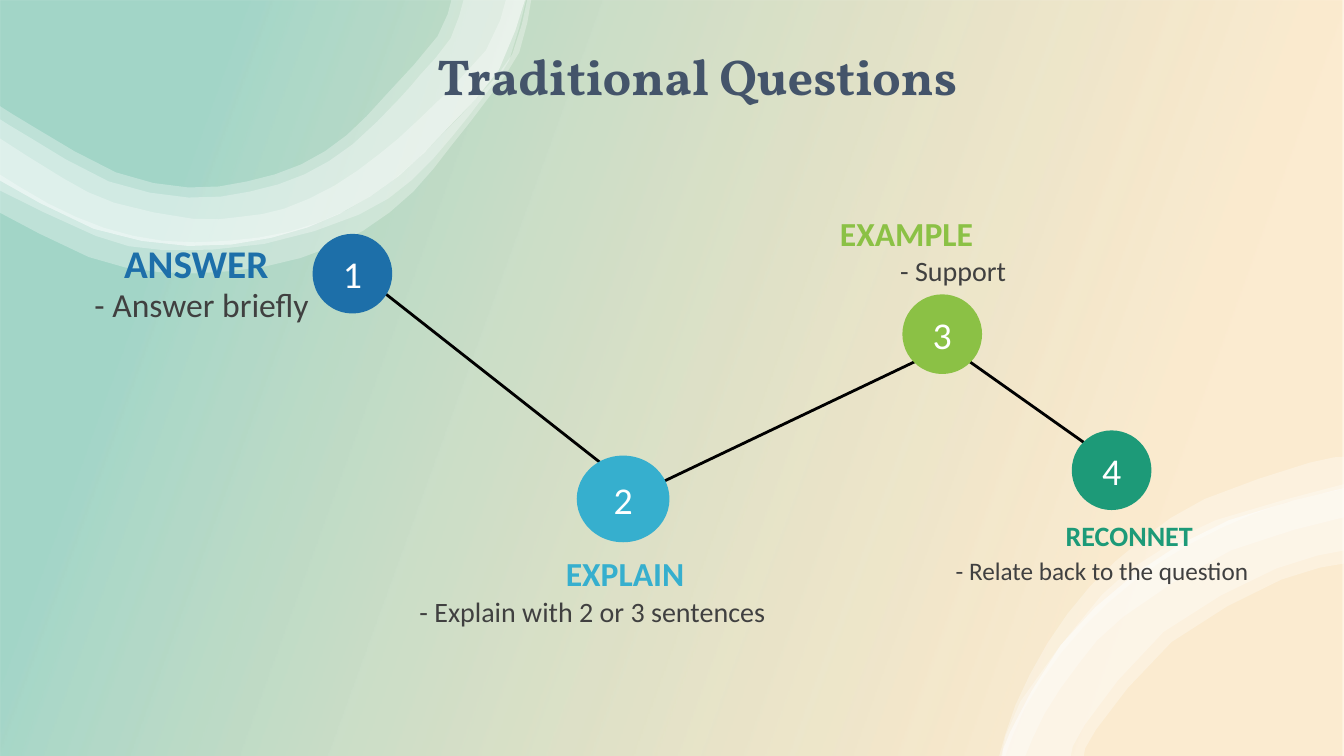
from lxml import etree
from pptx import Presentation
from pptx.dml.color import RGBColor
from pptx.enum.shapes import MSO_CONNECTOR, MSO_SHAPE
from pptx.enum.text import MSO_ANCHOR, PP_ALIGN
from pptx.oxml.ns import qn
from pptx.util import Inches, Pt

RIGHT, CENTER = PP_ALIGN.RIGHT, PP_ALIGN.CENTER
TOP, MIDDLE = MSO_ANCHOR.TOP, MSO_ANCHOR.MIDDLE
RECT, OVAL = MSO_SHAPE.RECTANGLE, MSO_SHAPE.OVAL
STRAIGHT = MSO_CONNECTOR.STRAIGHT

WHITE = RGBColor(0xFF, 0xFF, 0xFF)
BLACK = RGBColor(0x00, 0x00, 0x00)
GRAY = RGBColor(0x40, 0x40, 0x40)
SLATE = RGBColor(0x44, 0x54, 0x6A)
BLUE = RGBColor(0x1D, 0x6F, 0xA9)
CYAN = RGBColor(0x36, 0xAF, 0xCE)
LIME = RGBColor(0x8B, 0xC1, 0x45)
TEAL = RGBColor(0x1D, 0x9A, 0x78)
AMBER = RGBColor(0xF1, 0x9D, 0x19)


def write(shape, text, size, color, font="Calibri", bold=False, align=CENTER, anchor=MIDDLE):
    frame = shape.text_frame
    frame.word_wrap = True
    frame.vertical_anchor = anchor
    para = frame.paragraphs[0]
    para.alignment = align
    run = para.add_run()
    run.text = text
    run.font.name = font
    run.font.size = Pt(size)
    run.font.bold = bold
    run.font.color.rgb = color
    return para


def smooth(knots, steps=2):
    """Return points in EMU on a Catmull-Rom curve through the knots."""
    ends = [knots[0], *knots, knots[-1]]
    curve = []
    for a, b, c, d in zip(ends, ends[1:], ends[2:], ends[3:]):
        for step in range(steps):
            t = step / steps
            curve.append(tuple(
                Inches(q + t * (r - p + t * (2 * p - 5 * q + 4 * r - s + t * (3 * q - p - 3 * r + s))) / 2)
                for p, q, r, s in zip(a, b, c, d)))
    return curve + [tuple(Inches(v) for v in knots[-1])]


deck = Presentation()
deck.slide_width = Inches(13.33)
deck.slide_height = Inches(7.5)
slide = deck.slides.add_slide(deck.slide_layouts[5])
shapes = slide.shapes

# Background gradient
back = shapes.add_shape(RECT, 0, 0, deck.slide_width, deck.slide_height)
back.shadow.inherit = False
back.line.fill.background()
back.fill.gradient()
back.fill.gradient_angle = 160
tints = [(0.16, AMBER, 20), (0.85, TEAL, 40)]
for stop, (place, color, alpha) in zip(back.fill.gradient_stops, tints):
    stop.position = place
    stop.color.rgb = color
for node, (_, _, alpha) in zip(back.element.spPr.iter(qn("a:srgbClr")), tints):
    etree.SubElement(node, qn("a:alpha")).set("val", str(alpha * 1000))

# Ribbons: each is the band between two edges
low = [(-0.02, 1.78), (0.93, 2.27), (1.87, 2.44), (2.69, 2.36), (3.37, 2.12),
       (3.95, 1.75), (4.45, 1.26), (4.95, 0.69), (5.21, -0.01)]
rim = [(13.34, 4.84), (12.19, 5.16), (11.26, 5.69), (10.52, 6.4), (10.02, 7.26), (9.94, 7.5)]
ribbons = [
    ([(5.23, -0.01), (5.08, 0.54), (4.75, 0.95), (4.35, 1.37), (3.92, 1.77), (3.43, 2.09),
      (2.86, 2.3), (2.25, 2.39), (1.62, 2.39), (1.03, 2.26), (0.48, 2.02), (-0.02, 1.72)],
     [(-0.02, 2.1), (0.88, 2.55), (1.58, 2.7), (2.29, 2.69), (2.98, 2.56), (3.6, 2.29),
      (4.1, 1.9), (4.48, 1.44), (4.83, 0.99), (5.15, 0.52), (5.27, -0.01)]),
    ([(5.02, -0.01), (4.82, 0.5), (4.16, 1.18), (3.76, 1.53), (3.32, 1.84), (2.82, 2.07),
      (2.39, 2.15), (1.91, 2.17), (1.13, 2.01), (0.63, 1.77), (-0.02, 1.36)],
     [(-0.02, 1.88), (0.95, 2.34), (1.61, 2.48), (2.62, 2.42), (3.56, 2.13), (4.08, 1.79),
      (4.48, 1.36), (4.81, 0.94), (5.05, 0.6), (5.22, -0.01)]),
    ([(4.6, -0.01), (4.47, 0.38), (4.17, 0.74), (3.95, 0.99), (3.5, 1.43), (3.02, 1.73),
      (2.48, 1.9), (1.87, 1.96), (1.08, 1.8), (0.29, 1.36), (-0.02, 1.17)], low),
    ([(4.48, -0.01), (4.34, 0.36), (3.84, 0.93), (3.44, 1.34), (2.99, 1.63), (2.45, 1.8),
      (1.87, 1.86), (1.15, 1.71), (0.37, 1.28), (-0.02, 1.04)], low),
    ([(9.97, 7.5), (10.16, 7.03), (10.53, 6.47), (10.99, 5.98), (11.52, 5.57), (12.11, 5.24),
      (12.74, 4.99), (13.34, 4.85)],
     [(13.34, 4.53), (12.99, 4.59), (11.95, 4.95), (11.34, 5.34), (10.81, 5.82), (10.39, 6.38),
      (10.07, 7), (9.91, 7.5)]),
    ([(10.75, 7.5), (10.87, 7.24), (11.62, 6.37), (12.71, 5.75), (13.34, 5.59)], rim),
    ([(10.17, 7.5), (10.36, 7.08), (10.71, 6.57), (11.14, 6.12), (12.21, 5.46), (13.34, 5.13)],
     [(13.34, 4.8), (12.06, 5.16), (11.46, 5.49), (10.93, 5.9), (10.12, 6.96), (9.93, 7.5)]),
    ([(10.62, 7.5), (10.76, 7.19), (11.54, 6.27), (12.66, 5.64), (13.34, 5.46)], rim),
]
for inner, outer in ribbons:
    first, *rest = smooth(inner) + smooth(outer)
    pen = shapes.build_freeform(*first)
    pen.add_line_segments(rest, close=True)
    ribbon = pen.convert_to_shape()
    ribbon.shadow.inherit = False
    ribbon.line.fill.background()
    ribbon.fill.solid()
    ribbon.fill.fore_color.rgb = WHITE
    node = ribbon.element.spPr.find(".//" + qn("a:srgbClr"))
    etree.SubElement(node, qn("a:alpha")).set("val", "30000")

# Title, raised above the background
title = shapes.title
title.element.getparent().append(title.element)
title.left, title.top, title.width, title.height = map(Inches, (2.34, 0.14, 9.25, 1.29))
para = write(title, "Traditional Questions ", 36, SLATE, font="Vollkorn", bold=True)
para.line_spacing = 0.9

# Links between the steps
for ends in [(3.22, 2.44, 5.98, 4.61), (6.51, 4.81, 9.07, 3.59), (10.75, 4.39, 9.62, 3.59)]:
    link = shapes.add_connector(STRAIGHT, *map(Inches, ends))
    link.line.color.rgb = BLACK
    link.line.width = Pt(2)
    etree.SubElement(link.element.spPr, qn("a:effectLst"))

# Steps: color, circle, then heading and detail with box and size
steps = [
    (BLUE, (3.1, 2.32, 0.79, 0.79),
     ("ANSWER", (0.62, 2.32, 2.14, 0.57), 28), ("- Answer briefly", (0.62, 2.77, 2.54, 0.5), 24)),
    (CYAN, (5.72, 4.52, 0.92, 0.86),
     ("EXPLAIN ", (3.07, 5.44, 3.89, 0.5), 24),
     ("- Explain with 2 or 3 sentences", (3.08, 5.85, 4.61, 0.77), 20)),
    (LIME, (8.95, 2.92, 0.79, 0.79),
     ("EXAMPLE", (7.69, 2.06, 2.06, 0.5), 24), ("- Support ", (7.69, 2.47, 2.45, 0.44), 20)),
    (TEAL, (10.63, 4.27, 0.79, 0.79),
     ("RECONNET", (8.95, 5.09, 2.98, 0.44), 20),
     ("- Relate back to the question", (8.95, 5.46, 3.53, 0.71), 18)),
]
for number, (color, place, head, detail) in enumerate(steps, 1):
    dot = shapes.add_shape(OVAL, *map(Inches, place))
    dot.shadow.inherit = False
    dot.fill.solid()
    dot.fill.fore_color.rgb = color
    dot.line.fill.background()
    write(dot, str(number), 27, WHITE)
    text, area, size = head
    box = shapes.add_textbox(*map(Inches, area))
    write(box, text, size, color, bold=True, align=RIGHT)
    text, area, size = detail
    box = shapes.add_textbox(*map(Inches, area))
    write(box, text, size, GRAY, align=RIGHT, anchor=TOP)

deck.save("out.pptx")
